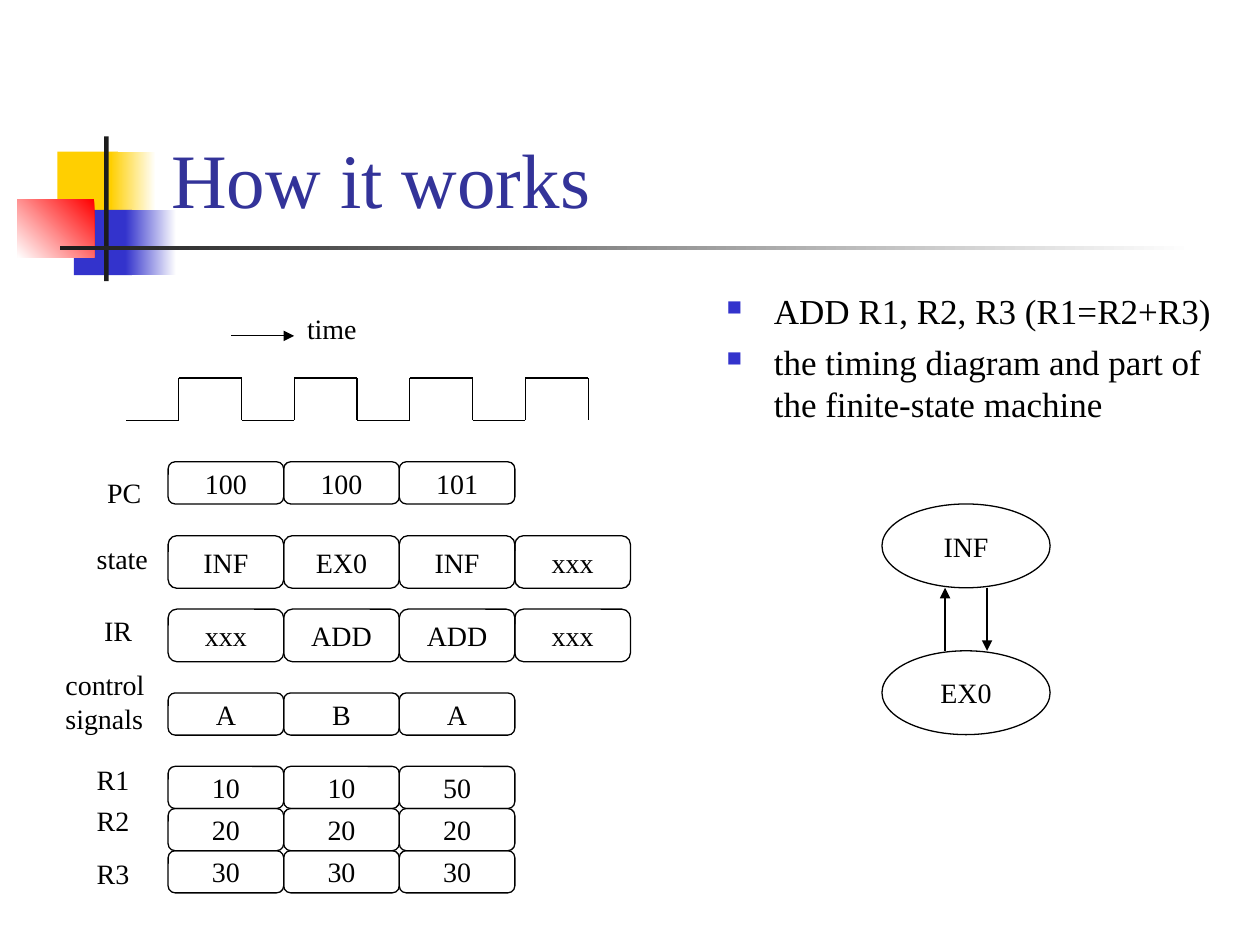
from dataclasses import dataclass
from itertools import pairwise

from lxml import etree
from pptx import Presentation
from pptx.dml.color import RGBColor
from pptx.enum.shapes import MSO_CONNECTOR, MSO_SHAPE
from pptx.enum.text import MSO_ANCHOR, MSO_AUTO_SIZE, PP_ALIGN
from pptx.oxml.ns import qn
from pptx.util import Cm, Pt

RECT, ROUND, OVAL = MSO_SHAPE.RECTANGLE, MSO_SHAPE.ROUNDED_RECTANGLE, MSO_SHAPE.OVAL
LINE = MSO_CONNECTOR.STRAIGHT
MIDDLE, BOTTOM = MSO_ANCHOR.MIDDLE, MSO_ANCHOR.BOTTOM
CENTER = PP_ALIGN.CENTER
GROW = MSO_AUTO_SIZE.SHAPE_TO_FIT_TEXT


@dataclass(frozen=True)
class Theme:
    font: str = "Times New Roman"
    ink: str = "000000"
    title: str = "333399"
    gold: str = "FFCF01"
    blue: str = "3333CC"
    red: str = "FF0000"
    bar: str = "1C1C1C"
    white: str = "FFFFFF"
    head: float = 44
    body: float = 20
    small: float = 16
    thin: float = 0.75


T = Theme()

# Rows: label, label x, label y, label width, cell y, cell height, values
ROWS = [
    ("PC", 0.84, 3.32, 1.22, 3.16, 0.85, ["100", "100", "101"]),
    ("state", 0.63, 4.65, 1.6, 4.65, 1.06, ["INF", "EX0", "INF", "xxx"]),
    ("IR", 0.78, 6.09, 1.1, 6.13, 1.06, ["xxx", "ADD", "ADD", "xxx"]),
    ("control\nsignals", 0, 7.19, 2.14, 7.82, 0.85, ["A", "B", "A"]),
    ("R1", 0.63, 9.09, 1.2, 9.3, 0.85, ["10", "10", "50"]),
    ("R2", 0.63, 9.93, 1.2, 10.15, 0.85, ["20", "20", "20"]),
    ("R3", 0.63, 11, 1.2, 11, 0.85, ["30", "30", "30"]),
]


def style(frame, text, size, color=T.ink):
    frame.text = text
    for para in frame.paragraphs:
        for run in para.runs:
            run.font.name = T.font
            run.font.size = Pt(size)
            run.font.color.rgb = RGBColor.from_string(color)


def label(shapes, x, y, w, h, text):
    box = shapes.add_textbox(Cm(x), Cm(y), Cm(w), Cm(h))
    style(box.text_frame, text, T.small)
    box.text_frame.word_wrap = False
    box.text_frame.auto_size = GROW


def node(shapes, kind, x, y, w, h, text):
    shape = shapes.add_shape(kind, Cm(x), Cm(y), Cm(w), Cm(h))
    shape.shadow.inherit = False
    shape.fill.background()
    shape.line.color.rgb = RGBColor.from_string(T.ink)
    shape.line.width = Pt(T.thin)
    frame = shape.text_frame
    style(frame, text, T.small)
    frame.word_wrap = False
    frame.vertical_anchor = MIDDLE
    frame.paragraphs[0].alignment = CENTER


def line(shapes, start, end, arrow=False):
    link = shapes.add_connector(LINE, *map(Cm, (*start, *end)))
    link.line.color.rgb = RGBColor.from_string(T.ink)
    link.line.width = Pt(T.thin)
    if arrow:
        etree.SubElement(link.line._get_or_add_ln(), qn("a:tailEnd"), type="triangle")
    etree.SubElement(link._element.spPr, qn("a:effectLst"))


def block(shapes, x, y, w, h, color, end=None, angle=180):
    shape = shapes.add_shape(RECT, Cm(x), Cm(y), Cm(w), Cm(h))
    shape.shadow.inherit = False
    shape.line.fill.background()
    if end is None:
        shape.fill.solid()
        shape.fill.fore_color.rgb = RGBColor.from_string(color)
        return
    shape.fill.gradient()
    shape.fill.gradient_angle = angle
    for stop, tone in zip(shape.fill.gradient_stops, (color, end)):
        stop.color.rgb = RGBColor.from_string(tone)


def emblem(shapes, x, y):
    # Squares fading out, then the crossing bars
    block(shapes, x + 0.81, y + 0.31, 1.22, 1.32, T.gold)
    block(shapes, x + 1.88, y + 0.31, 0.91, 1.32, T.white, T.gold)
    block(shapes, x + 1.14, y + 1.48, 1.17, 1.32, T.blue)
    block(shapes, x + 2.18, y + 1.48, 1.02, 1.32, T.white, T.blue)
    block(shapes, x, y + 1.27, 1.55, 1.17, T.red, T.white, 225)
    block(shapes, x + 1.75, y, 0.09, 2.92, T.bar)
    block(shapes, x + 0.86, y + 2.2, 22.86, 0.09, T.white, T.bar)


def heading(shapes, x, y, w, h, text):
    frame = shapes.add_textbox(Cm(x), Cm(y), Cm(w), Cm(h)).text_frame
    frame.word_wrap = True
    frame.vertical_anchor = BOTTOM
    style(frame, text, T.head, T.title)


def points(shapes, x, y, w, h, items):
    frame = shapes.add_textbox(Cm(x), Cm(y), Cm(w), Cm(h)).text_frame
    frame.word_wrap = True
    style(frame, "\n".join(items), T.body)
    for para in frame.paragraphs:
        para.space_before = Pt(5)
        props = para._p.get_or_add_pPr()
        props.set("marL", str(Cm(0.95)))
        props.set("indent", str(-Cm(0.95)))
        tint = etree.SubElement(props, qn("a:buClr"))
        etree.SubElement(tint, qn("a:srgbClr"), val=T.blue)
        etree.SubElement(props, qn("a:buSzPct"), val="60000")
        etree.SubElement(props, qn("a:buChar"), char="■")


def timing(shapes, x, y):
    step = 2.33
    # Time arrow
    line(shapes, (x + 3.59, y + 0.62), (x + 4.86, y + 0.62), arrow=True)
    label(shapes, x + 4.87, y, 1.53, 0.94, "time")

    # Clock wave
    low, high = y + 2.32, y + 1.47
    wave = [(x + 1.47, low)]
    for i in range(4):
        rise = x + 2.53 + i * step
        fall = rise + 1.27
        wave += [(rise, low), (rise, high), (fall, high), (fall, low)]
    for start, end in pairwise(wave):
        line(shapes, start, end)

    # Signal rows
    for name, left, top, wide, row, tall, values in ROWS:
        deep = 0.94 + 0.69 * name.count("\n")
        label(shapes, x + left, y + top, wide, deep, name)
        for i, value in enumerate(values):
            node(shapes, ROUND, x + 2.32 + i * step, y + row, step, tall, value)


def states(shapes, x, y):
    wide, tall, drop = 3.39, 1.69, 2.96
    for i, name in enumerate(("INF", "EX0")):
        node(shapes, OVAL, x, y + i * drop, wide, tall, name)
    down, up = x + wide * 5 / 8, x + wide * 3 / 8
    line(shapes, (down, y + tall), (down, y + drop), arrow=True)
    line(shapes, (up, y + drop), (up, y + tall), arrow=True)


def main():
    deck = Presentation()
    deck.slide_width, deck.slide_height = Cm(25.4), Cm(19.05)
    shapes = deck.slides.add_slide(deck.slide_layouts[6]).shapes
    emblem(shapes, 0.35, 2.75)
    heading(shapes, 3.2, 0.58, 21.64, 4.06, "How it works")
    points(shapes, 14.4, 5.72, 10.49, 2.97, [
        "ADD R1, R2, R3 (R1=R2+R3)",
        "the timing diagram and part of the finite-state machine",
    ])
    timing(shapes.add_group_shape().shapes, 1.07, 6.15)
    states(shapes.add_group_shape().shapes, 17.78, 10.16)
    deck.save("out.pptx")


if __name__ == "__main__":
    main()
